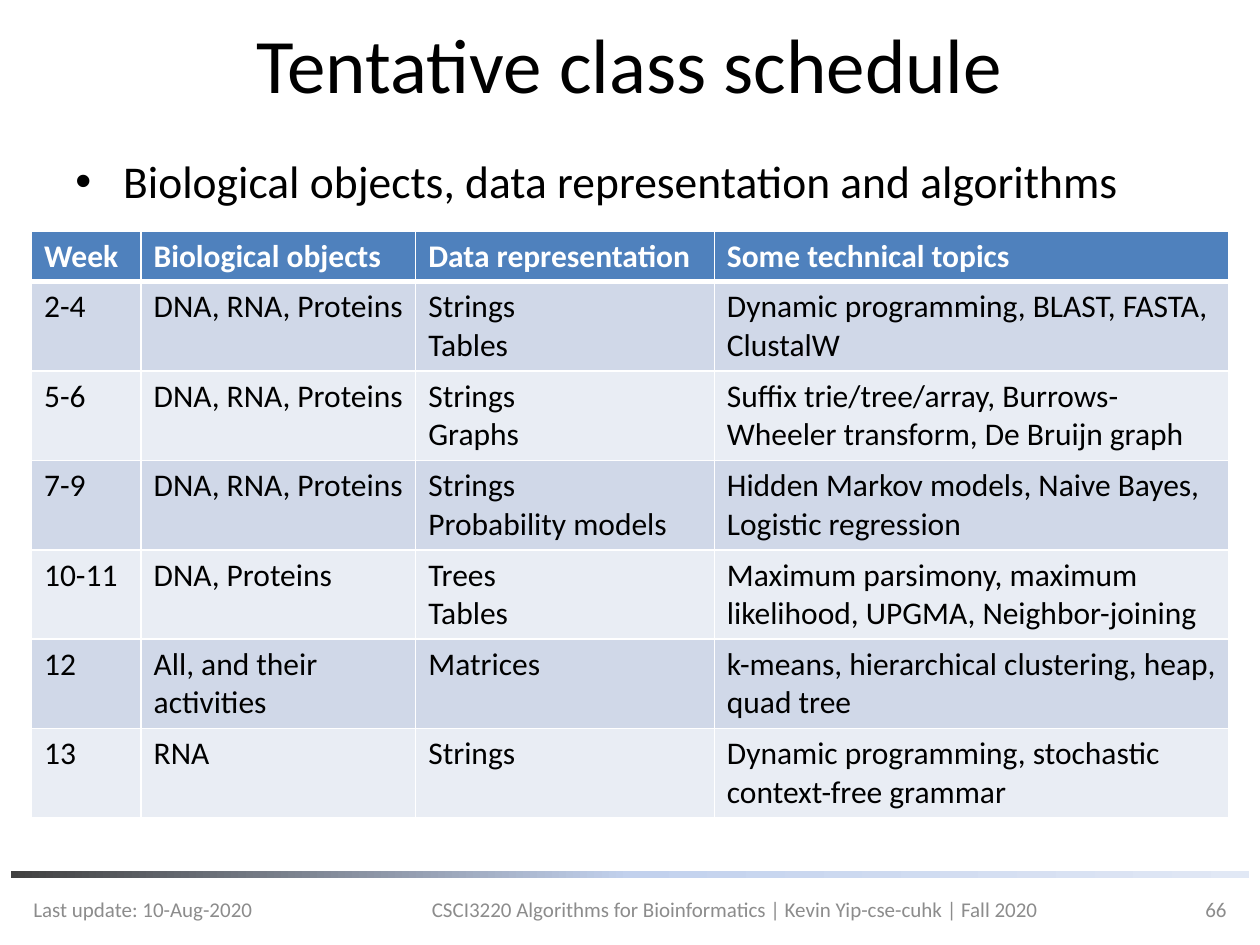
from lxml.etree import SubElement
from pptx import Presentation
from pptx.dml.color import RGBColor
from pptx.enum.shapes import MSO_SHAPE
from pptx.enum.text import MSO_ANCHOR, PP_ALIGN
from pptx.oxml.ns import qn
from pptx.util import Inches, Pt

FONT = "Calibri"
BLACK, WHITE, GREY = "000000", "FFFFFF", "8C8C8C"
HEADER_FILL, BAND_FILLS = "4F81BD", ("D0D8E8", "E9EDF4")
RULE_STOPS = ((0, "404040"), (50, "C2D1ED"), (100, "E1E8F5"))

COLUMN_WIDTHS = (0.87, 2.18, 2.37, 4.08)
HEADER_HEIGHT, ROW_HEIGHT = 0.4, 0.71
SCHEDULE = (
    ("Week", "Biological objects", "Data representation", "Some technical topics"),
    ("2-4", "DNA, RNA, Proteins", "Strings\nTables",
     "Dynamic programming, BLAST, FASTA, ClustalW"),
    ("5-6", "DNA, RNA, Proteins", "Strings\nGraphs",
     "Suffix trie/tree/array, Burrows-Wheeler transform, De Bruijn graph"),
    ("7-9", "DNA, RNA, Proteins", "Strings\nProbability models",
     "Hidden Markov models, Naive Bayes, Logistic regression"),
    ("10-11", "DNA, Proteins", "Trees\nTables",
     "Maximum parsimony, maximum likelihood, UPGMA, Neighbor-joining"),
    ("12", "All, and their activities", "Matrices",
     "k-means, hierarchical clustering, heap, quad tree"),
    ("13", "RNA", "Strings",
     "Dynamic programming, stochastic context-free grammar"),
)


def grid_box(left, top, width, height):
    """Turn cells of a 120 by 90 grid, twelve to the inch, into lengths."""
    return [Inches(value / 12) for value in (left, top, width, height)]


def color(hex_string):
    return RGBColor.from_string(hex_string)


def write_text(frame, text, size, text_color=BLACK, bold=False, align=PP_ALIGN.LEFT):
    for index, line in enumerate(text.split("\n")):
        paragraph = frame.add_paragraph() if index else frame.paragraphs[0]
        paragraph.alignment = align
        run = paragraph.add_run()
        run.text = line
        run.font.name = FONT
        run.font.size = Pt(size)
        run.font.bold = bold
        run.font.color.rgb = color(text_color)


def add_text(slide, box, text, size, anchor=MSO_ANCHOR.MIDDLE, **style):
    frame = slide.shapes.add_textbox(*box).text_frame
    frame.word_wrap = True
    frame.vertical_anchor = anchor
    write_text(frame, text, size, **style)
    return frame


def add_bullet_text(slide, box, text):
    frame = add_text(slide, box, text, 26, anchor=MSO_ANCHOR.TOP)
    properties = frame.paragraphs[0]._p.get_or_add_pPr()
    properties.set("marL", str(Inches(0.38)))
    properties.set("indent", str(Inches(-0.38)))
    SubElement(properties, qn("a:buFont"), typeface="Arial")
    SubElement(properties, qn("a:buChar"), char="•")


def add_gradient_rule(slide, box):
    rule = slide.shapes.add_shape(MSO_SHAPE.RECTANGLE, *box)
    rule.shadow.inherit = False
    rule.line.fill.background()
    rule.fill.gradient()
    rule.fill.gradient_angle = 0
    stops = rule._element.spPr.find(".//" + qn("a:gsLst"))
    for stop in list(stops):
        stops.remove(stop)
    for position, stop_color in RULE_STOPS:
        stop = SubElement(stops, qn("a:gs"), pos=str(position * 1000))
        SubElement(stop, qn("a:srgbClr"), val=stop_color)


def set_borders(cell, bottom_width, top_width):
    properties = cell._tc.get_or_add_tcPr()
    widths = {"a:lnL": 1, "a:lnR": 1, "a:lnT": top_width, "a:lnB": bottom_width}
    for index, (tag, width) in enumerate(widths.items()):
        line = properties.makeelement(qn(tag), {"w": str(Pt(width))})
        properties.insert(index, line)
        fill = SubElement(line, qn("a:solidFill"))
        SubElement(fill, qn("a:srgbClr"), val=WHITE)


def add_schedule(slide, box):
    table = slide.shapes.add_table(len(SCHEDULE), len(COLUMN_WIDTHS), *box).table
    for column, width in zip(table.columns, COLUMN_WIDTHS):
        column.width = Inches(width)
    for row_index, texts in enumerate(SCHEDULE):
        is_header = row_index == 0
        row = table.rows[row_index]
        row.height = Inches(HEADER_HEIGHT if is_header else ROW_HEIGHT)
        row_fill = HEADER_FILL if is_header else BAND_FILLS[(row_index - 1) % 2]
        for cell, text in zip(row.cells, texts):
            cell.margin_right = Inches(0.08)
            cell.fill.solid()
            cell.fill.fore_color.rgb = color(row_fill)
            set_borders(cell, 3 if is_header else 1, 3 if row_index == 1 else 1)
            write_text(cell.text_frame, text, 18,
                       WHITE if is_header else BLACK, is_header)


def add_footer(slide, top, height):
    parts = (
        (2, 33, "Last update: 10-Aug-2020", PP_ALIGN.LEFT),
        (35, 70, "CSCI3220 Algorithms for Bioinformatics | Kevin Yip-cse-cuhk | Fall 2020",
         PP_ALIGN.CENTER),
        (105, 13, "66", PP_ALIGN.RIGHT),
    )
    for left, width, text, align in parts:
        add_text(slide, grid_box(left, top, width, height), text, 12,
                 text_color=GREY, align=align)


def main():
    presentation = Presentation()
    presentation.slide_width, presentation.slide_height = Inches(10), Inches(7.5)
    slide = presentation.slides.add_slide(presentation.slide_layouts[6])
    add_gradient_rule(slide, grid_box(1, 83, 118, 0.6))
    add_text(slide, grid_box(6, 0, 108, 12), "Tentative class schedule", 44,
             align=PP_ALIGN.CENTER)
    add_bullet_text(slide, grid_box(6, 14, 108, 66.4),
                    "Biological objects, data representation and algorithms")
    add_footer(slide, 84.2, 4.8)
    add_schedule(slide, grid_box(3, 22, 114, 56))
    presentation.save("out.pptx")


if __name__ == "__main__":
    main()
